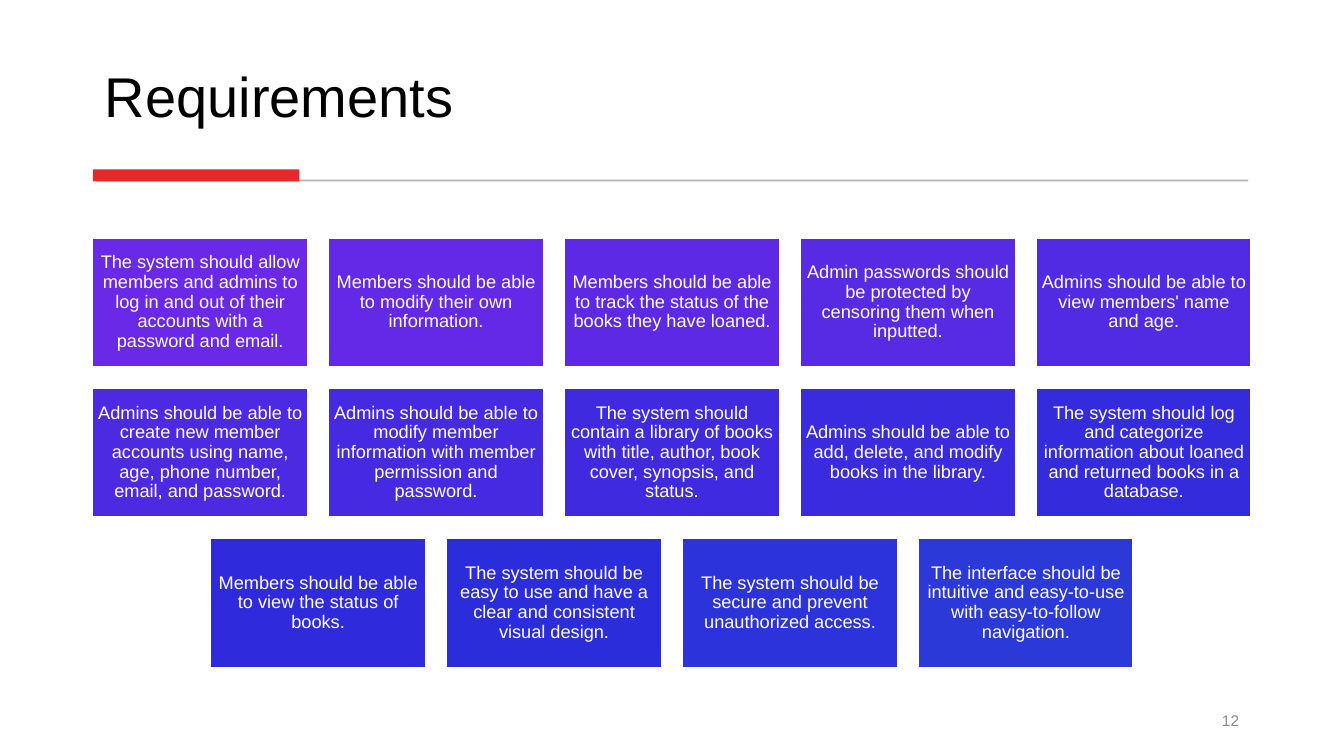
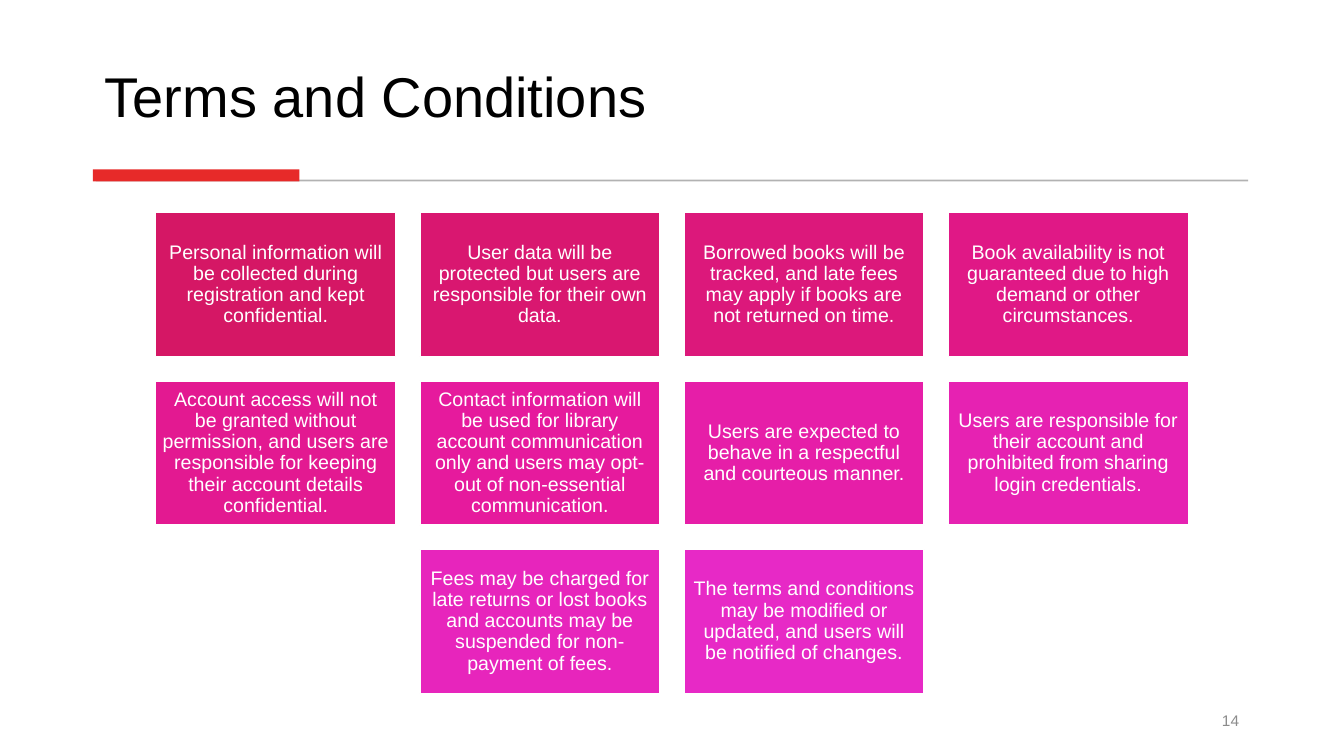
import colorsys

import lxml.etree
import pptx
import pptx.dml.color
import pptx.enum.shapes
import pptx.enum.text
import pptx.oxml.ns
import pptx.util

Inches = pptx.util.Inches
Pt = pptx.util.Pt
RECTANGLE = pptx.enum.shapes.MSO_SHAPE.RECTANGLE
ALIGN = pptx.enum.text.PP_ALIGN
ANCHOR = pptx.enum.text.MSO_ANCHOR

# Content
SLIDES = [
    {
        "title": "Requirements",
        "number": "12",
        "gradient": ("6A29E7", "2C39D9"),
        "columns": 5, "top": 2.36, "card": (2.13, 1.28), "gap": 0.21,
        "size": 13, "inset": 0.05,
        "cards": [
            "The system should allow members and admins to log in and out of their accounts with a password and email.",
            "Members should be able to modify their own information.",
            "Members should be able to track the status of the books they have loaned.",
            "Admin passwords should be protected by censoring them when inputted.",
            "Admins should be able to view members' name and age.",
            "Admins should be able to create new member accounts using name, age, phone number, email, and password.",
            "Admins should be able to modify member information with member permission and password.",
            "The system should contain a library of books with title, author, book cover, synopsis, and status.",
            "Admins should be able to add, delete, and modify books in the library.",
            "The system should log and categorize information about loaned and returned books in a database.",
            "Members should be able to view the status of books.",
            "The system should be easy to use and have a clear and consistent visual design.",
            "The system should be secure and prevent unauthorized access.",
            "The interface should be intuitive and easy-to-use with easy-to-follow navigation.",
        ],
    },
    {
        "title": "Terms and Conditions",
        "number": "14",
        "gradient": ("D51765", "E729C6"),
        "columns": 4, "top": 2.11, "card": (2.38, 1.43), "gap": 0.24,
        "size": 14, "inset": 0.06,
        "cards": [
            "Personal information will be collected during registration and kept confidential.",
            "User data will be protected but users are responsible for their own data.",
            "Borrowed books will be tracked, and late fees may apply if books are not returned on time.",
            "Book availability is not guaranteed due to high demand or other circumstances.",
            "Account access will not be granted without permission, and users are responsible for keeping their account details confidential.",
            "Contact information will be used for library account communication only and users may opt-out of non-essential communication.",
            "Users are expected to behave in a respectful and courteous manner.",
            "Users are responsible for their account and prohibited from sharing login credentials.",
            "Fees may be charged for late returns or lost books and accounts may be suspended for non-payment of fees.",
            "The terms and conditions may be modified or updated, and users will be notified of changes.",
        ],
    },
]

# Shared style
WIDTH, HEIGHT = 13.33, 7.5
FONT = "Arial"
WHITE, BLACK, RED = "FFFFFF", "000000", "E72A29"
RULE_GREY, NUMBER_GREY = "595959", "8C8C8C"
TEXT_INSETS = (0.12, 0.12, 0.12, 0.1)


def color(hex_string):
    return pptx.dml.color.RGBColor.from_string(hex_string)


def blend(start, end, share):
    """Colour part of the way from start to end, by hue, lightness and saturation."""
    first, last = (colorsys.rgb_to_hls(*(c / 255 for c in color(h))) for h in (start, end))
    mixed = colorsys.hls_to_rgb(*(a + (b - a) * share for a, b in zip(first, last)))
    return "".join(f"{round(c * 255):02X}" for c in mixed)


def write(shape, text, size, ink, align, anchor, insets):
    frame = shape.text_frame
    frame.word_wrap = True
    frame.vertical_anchor = anchor
    (frame.margin_left, frame.margin_top,
     frame.margin_right, frame.margin_bottom) = map(Inches, insets)
    paragraph = frame.paragraphs[0]
    paragraph.alignment = align
    paragraph.line_spacing = 0.9
    run = paragraph.add_run()
    run.text = text
    run.font.name = FONT
    run.font.size = Pt(size)
    run.font.color.rgb = color(ink)


def add_text(slide, box, *style):
    write(slide.shapes.add_textbox(*map(Inches, box)), *style)


def add_block(slide, box, fill, border=None):
    block = slide.shapes.add_shape(RECTANGLE, *map(Inches, box))
    block.shadow.inherit = False
    block.fill.solid()
    block.fill.fore_color.rgb = color(fill)
    if border:
        block.line.color.rgb = color(border)
        block.line.width = Pt(1)
    else:
        block.line.fill.background()
    return block


def add_rule(slide, left, right, y):
    rule = slide.shapes.add_connector(
        pptx.enum.shapes.MSO_CONNECTOR.STRAIGHT, *map(Inches, (left, y, right, y)))
    rule.line.color.rgb = color(RULE_GREY)
    rule.line.width = Pt(1.25)
    qn = pptx.oxml.ns.qn
    properties = rule.line._get_or_add_ln().getparent()
    tint = next(properties.iter(qn("a:srgbClr")))
    lxml.etree.SubElement(tint, qn("a:alpha"), val="45000")
    lxml.etree.SubElement(properties, qn("a:effectLst"))


def add_frame(slide, title, number):
    """Title, divider and slide number."""
    add_text(slide, (0.92, 0.28, 11.49, 1.11), title, 40, BLACK,
             ALIGN.LEFT, ANCHOR.BOTTOM, TEXT_INSETS)
    add_rule(slide, 0.95, 12.38, 1.79)
    add_block(slide, (0.92, 1.68, 2.05, 0.12), RED)
    add_text(slide, (9.7, 6.95, 2.71, 0.4), number, 11, NUMBER_GREY,
             ALIGN.RIGHT, ANCHOR.MIDDLE, TEXT_INSETS)


def add_cards(slide, content):
    """Rows of cards, each row centred on the slide."""
    cards, columns, gap = content["cards"], content["columns"], content["gap"]
    card_width, card_height = content["card"]
    for index, text in enumerate(cards):
        row, column = divmod(index, columns)
        in_row = min(columns, len(cards) - row * columns)
        row_width = in_row * (card_width + gap) - gap
        left = (WIDTH - row_width) / 2 + column * (card_width + gap)
        top = content["top"] + row * (card_height + gap)
        fill = blend(*content["gradient"], index / (len(cards) - 1))
        card = add_block(slide, (left, top, card_width, card_height), fill, WHITE)
        write(card, text, content["size"], WHITE, ALIGN.CENTER, ANCHOR.MIDDLE,
              [content["inset"]] * 4)


def main():
    deck = pptx.Presentation()
    deck.slide_width, deck.slide_height = Inches(WIDTH), Inches(HEIGHT)
    for content in SLIDES:
        slide = deck.slides.add_slide(deck.slide_layouts[6])
        add_frame(slide, content["title"], content["number"])
        add_cards(slide, content)
    deck.save("out.pptx")


if __name__ == "__main__":
    main()
